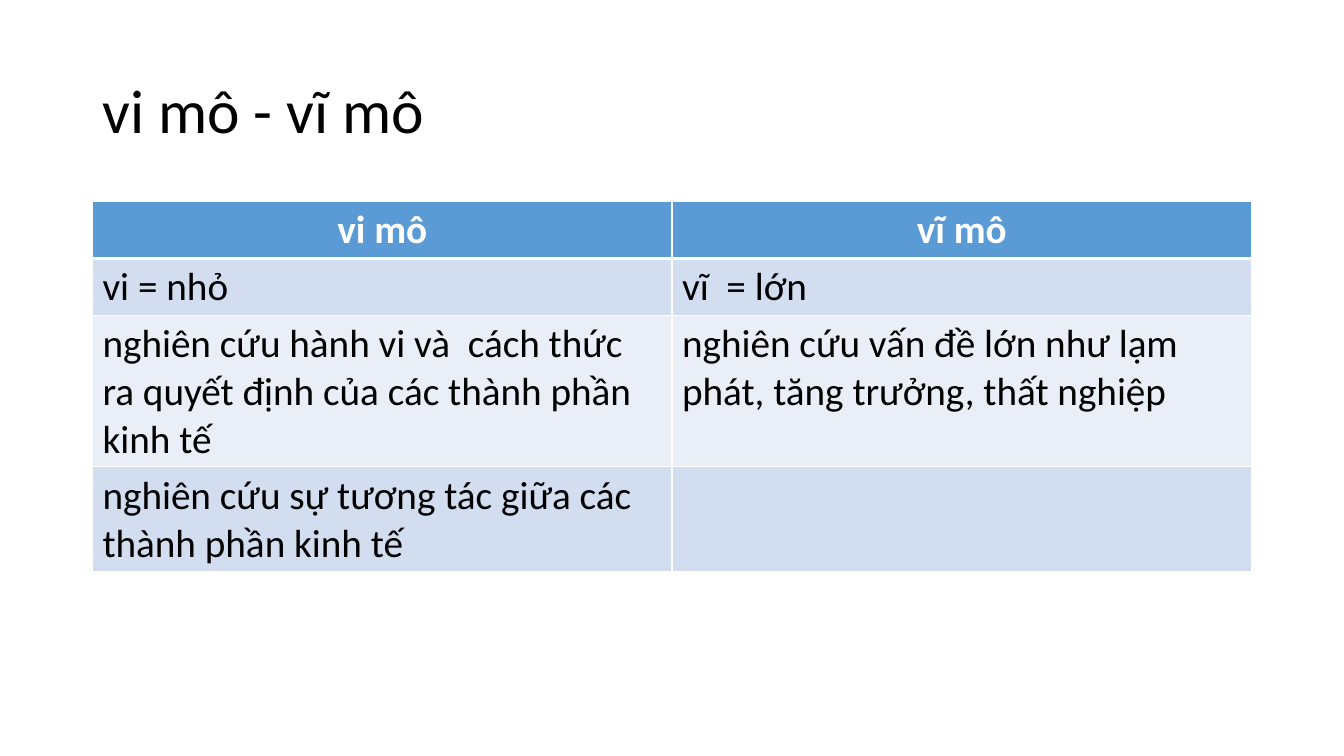
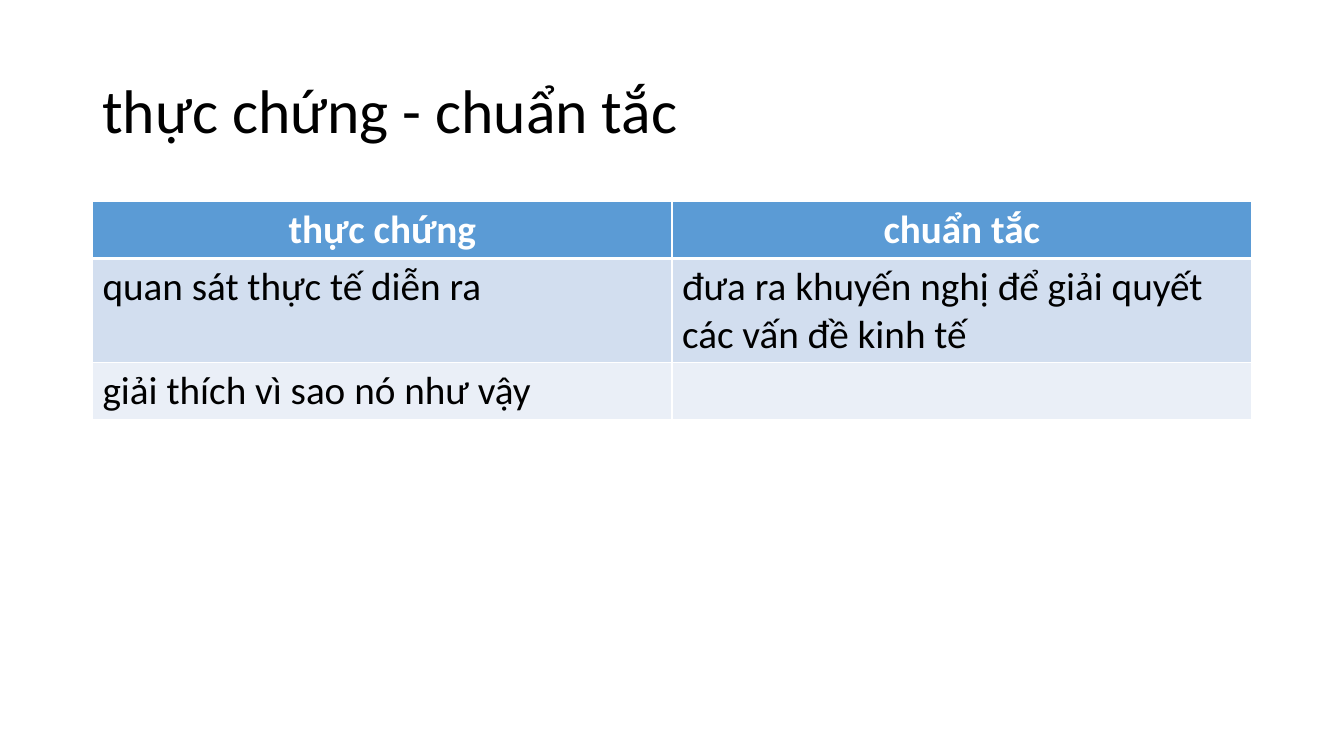
from dataclasses import dataclass

from lxml.etree import SubElement
from pptx import Presentation
from pptx.dml.color import RGBColor
from pptx.enum.text import MSO_ANCHOR, PP_ALIGN
from pptx.oxml.ns import qn
from pptx.slide import Slide
from pptx.table import _Cell
from pptx.text.text import TextFrame
from pptx.util import Cm, Pt

# Shared style
FONT = "Calibri"
BLACK = RGBColor(0x00, 0x00, 0x00)
WHITE = RGBColor(0xFF, 0xFF, 0xFF)
HEADER_BLUE = RGBColor(0x5B, 0x9B, 0xD5)
ROW_FILLS = (RGBColor(0xD2, 0xDE, 0xEF), RGBColor(0xEA, 0xEF, 0xF7))
TITLE_SIZE, TABLE_SIZE = 44, 28
THIN, THICK = Pt(1), Pt(3)

# Shared layout
SLIDE_WIDTH, SLIDE_HEIGHT = Cm(33.87), Cm(19.05)
LEFT, CONTENT_WIDTH = Cm(2.33), Cm(29.21)
TITLE_TOP, TITLE_HEIGHT = Cm(1.01), Cm(3.68)
TABLE_TOP, ROW_HEIGHT = Cm(5.07), Cm(1.07)


@dataclass(frozen=True)
class Comparison:
    title: str
    headings: tuple[str, ...]
    rows: tuple[tuple[str, ...], ...]


COMPARISONS = (
    Comparison(
        "vi mô - vĩ mô",
        ("vi mô", "vĩ mô"),
        (
            ("vi = nhỏ", "vĩ  = lớn"),
            (
                "nghiên cứu hành vi và  cách thức  ra quyết định của các thành phần kinh tế",
                "nghiên cứu vấn đề lớn như lạm phát, tăng trưởng, thất nghiệp",
            ),
            ("nghiên cứu sự tương tác giữa các thành phần kinh tế", ""),
        ),
    ),
    Comparison(
        "thực chứng - chuẩn tắc",
        ("thực chứng", "chuẩn tắc"),
        (
            (
                "quan sát thực tế diễn ra",
                "đưa ra khuyến nghị để giải quyết các vấn đề kinh tế",
            ),
            ("giải thích vì sao nó như vậy", ""),
        ),
    ),
)


def write_text(
    text_frame: TextFrame,
    text: str,
    *,
    size: int = TABLE_SIZE,
    color: RGBColor = BLACK,
    bold: bool = False,
    alignment: PP_ALIGN = PP_ALIGN.LEFT,
    line_spacing: float = 1.0,
) -> None:
    paragraph = text_frame.paragraphs[0]
    paragraph.alignment = alignment
    paragraph.line_spacing = line_spacing
    run = paragraph.add_run()
    run.text = text
    run.font.name = FONT
    run.font.size = Pt(size)
    run.font.bold = bold
    run.font.color.rgb = color


def style_cell(cell: _Cell, fill: RGBColor, top: Pt = THIN, bottom: Pt = THIN) -> None:
    # Borders must come before the fill in the cell properties
    properties = cell._tc.get_or_add_tcPr()
    for side, width in (("L", THIN), ("R", THIN), ("T", top), ("B", bottom)):
        line = SubElement(properties, qn(f"a:ln{side}"), w=str(width))
        solid_fill = SubElement(line, qn("a:solidFill"))
        SubElement(solid_fill, qn("a:srgbClr"), val=str(WHITE))
    cell.fill.solid()
    cell.fill.fore_color.rgb = fill


def add_title(slide: Slide, text: str) -> None:
    shape = slide.shapes.add_textbox(LEFT, TITLE_TOP, CONTENT_WIDTH, TITLE_HEIGHT)
    text_frame = shape.text_frame
    text_frame.word_wrap = True
    text_frame.vertical_anchor = MSO_ANCHOR.MIDDLE
    write_text(text_frame, text, size=TITLE_SIZE, line_spacing=0.9)


def add_comparison_table(slide: Slide, comparison: Comparison) -> None:
    row_count = len(comparison.rows) + 1
    table = slide.shapes.add_table(
        row_count, len(comparison.headings),
        LEFT, TABLE_TOP, CONTENT_WIDTH, ROW_HEIGHT * row_count,
    ).table

    # Header row
    for column, heading in enumerate(comparison.headings):
        cell = table.cell(0, column)
        style_cell(cell, HEADER_BLUE, bottom=THICK)
        write_text(cell.text_frame, heading, color=WHITE, bold=True,
                   alignment=PP_ALIGN.CENTER)

    # Banded body rows
    for row, texts in enumerate(comparison.rows):
        for column, text in enumerate(texts):
            cell = table.cell(row + 1, column)
            style_cell(cell, ROW_FILLS[row % 2], top=THICK if row == 0 else THIN)
            if text:
                write_text(cell.text_frame, text)


def main() -> None:
    presentation = Presentation()
    presentation.slide_width = SLIDE_WIDTH
    presentation.slide_height = SLIDE_HEIGHT
    blank_layout = presentation.slide_layouts[6]
    for comparison in COMPARISONS:
        slide = presentation.slides.add_slide(blank_layout)
        add_title(slide, comparison.title)
        add_comparison_table(slide, comparison)
    presentation.save("out.pptx")


if __name__ == "__main__":
    main()
